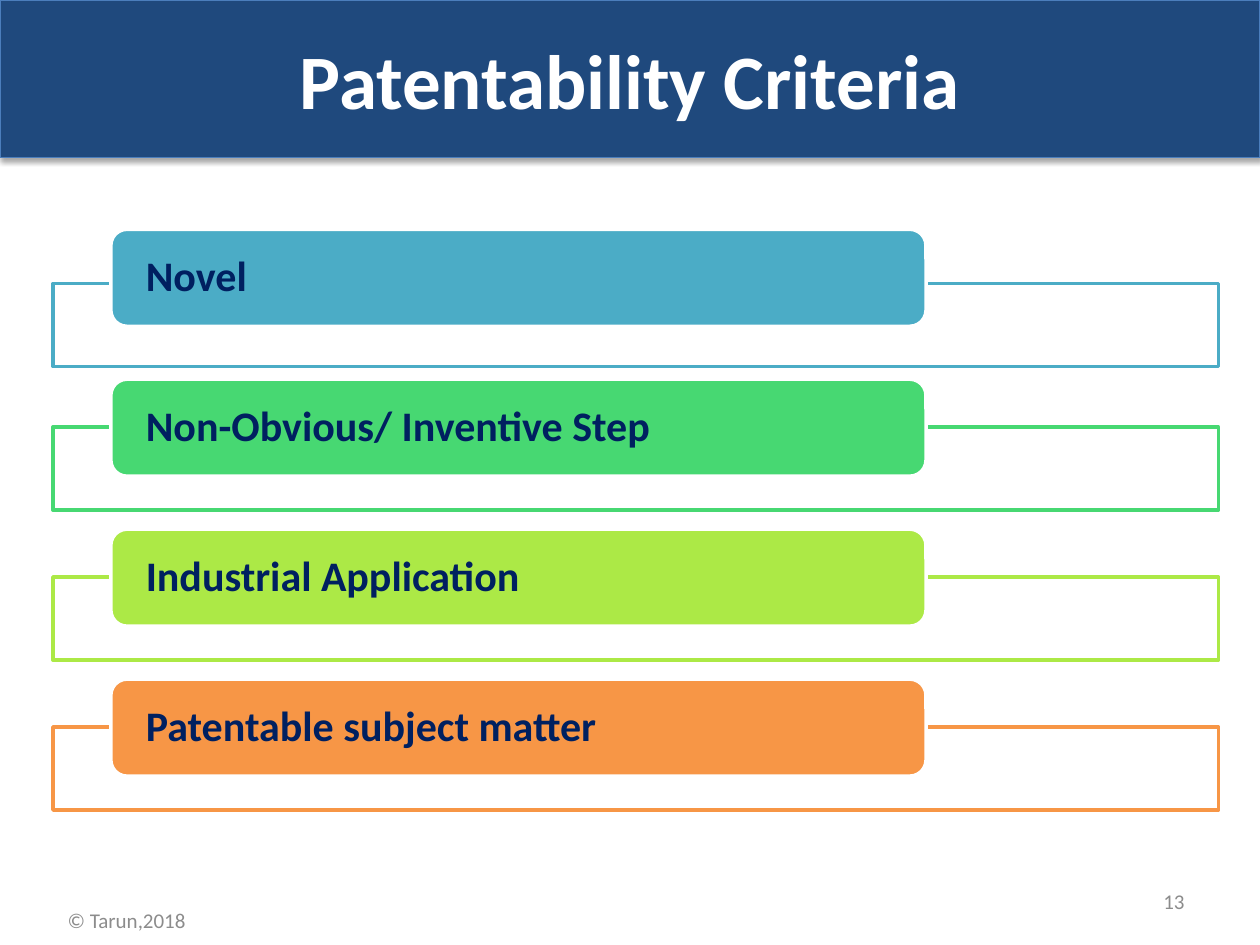
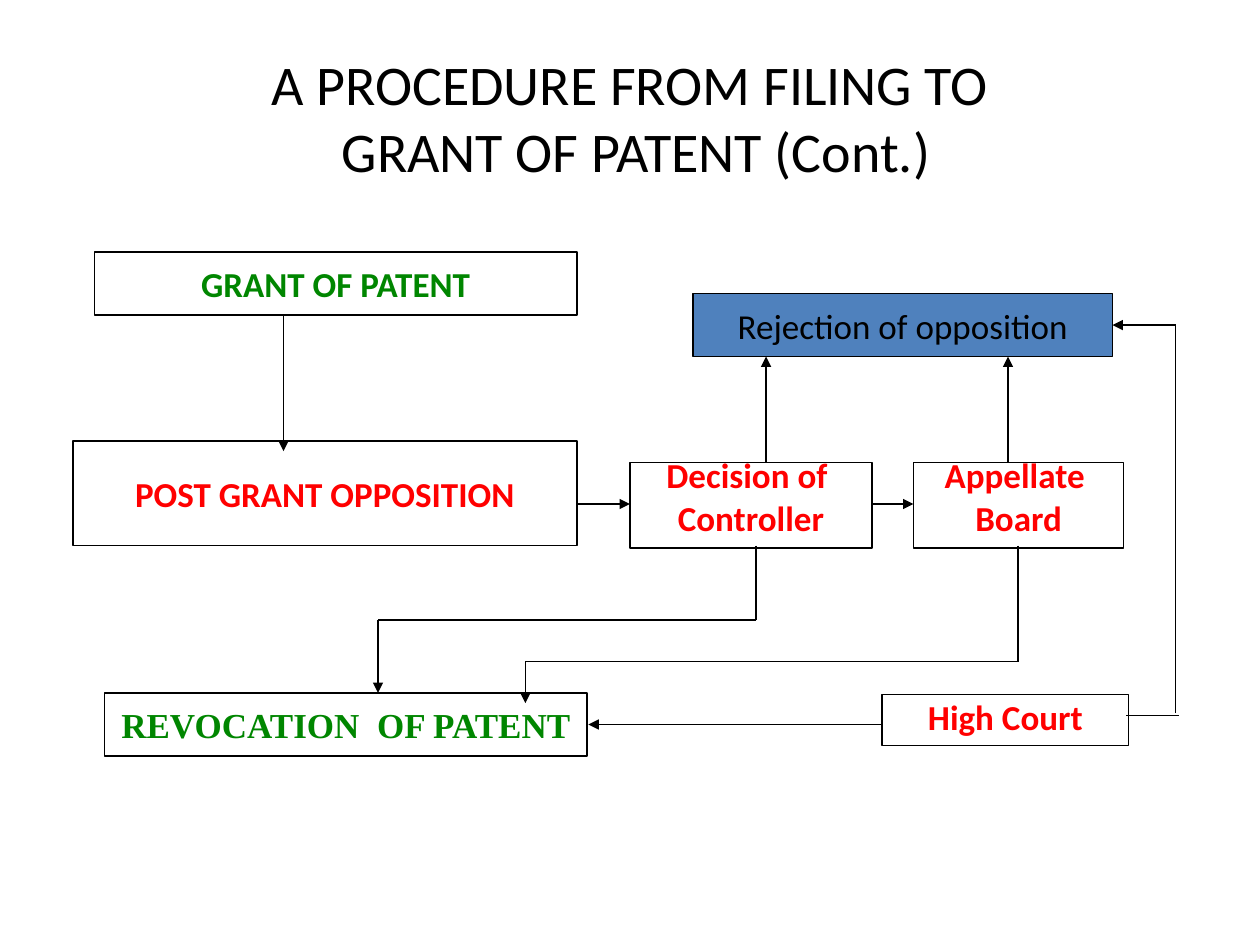
from lxml.etree import SubElement
from pptx import Presentation
from pptx.dml.color import RGBColor
from pptx.enum.shapes import MSO_CONNECTOR, MSO_SHAPE
from pptx.enum.text import MSO_ANCHOR, PP_ALIGN
from pptx.oxml.ns import qn
from pptx.util import Inches, Pt

# Shared colours and font
WHITE = RGBColor(0xFF, 0xFF, 0xFF)
BLACK = RGBColor(0x00, 0x00, 0x00)
GREY = RGBColor(0x8C, 0x8C, 0x8C)
NAVY = RGBColor(0x1F, 0x49, 0x7D)
INK = RGBColor(0x00, 0x20, 0x60)
BAND_EDGE = RGBColor(0x4B, 0x7E, 0xBC)
BLUE = RGBColor(0x4F, 0x81, 0xBD)
TEAL = RGBColor(0x4B, 0xAC, 0xC6)
MINT = RGBColor(0x47, 0xD8, 0x72)
LIME = RGBColor(0xAC, 0xE9, 0x46)
ORANGE = RGBColor(0xF7, 0x96, 0x46)
GREEN = RGBColor(0x00, 0x86, 0x00)
RED = RGBColor(0xFF, 0x00, 0x00)
FONT = "Calibri"


def write_text(frame, text, size=20, color=BLACK, bold=False, font=FONT,
               align=PP_ALIGN.CENTER, anchor=MSO_ANCHOR.MIDDLE, wrap=True,
               spacing=None, before=None, insets=None):
    """Fill a text frame; a newline starts a paragraph, \\v breaks a line."""
    frame.word_wrap = wrap
    frame.vertical_anchor = anchor
    if insets:
        side, top = insets
        frame.margin_left = frame.margin_right = Inches(side)
        frame.margin_top = frame.margin_bottom = Inches(top)
    frame.text = text
    for paragraph in frame.paragraphs:
        paragraph.alignment = align
        if spacing:
            paragraph.line_spacing = spacing
        if before:
            paragraph.space_before = Pt(before)
        for run in paragraph.runs:
            run.font.size = Pt(size)
            run.font.name = font
            run.font.bold = bold
            run.font.color.rgb = color


class Deck:
    """Holds the presentation, its style and the current slide."""

    def __init__(self):
        self.presentation = Presentation()
        self.presentation.slide_width = Inches(10)
        self.presentation.slide_height = Inches(7.5)
        self.slide = None

    def new_slide(self):
        self.slide = self.presentation.slides.add_slide(
            self.presentation.slide_layouts[6])

    def label(self, place, text, **style):
        text_box = self.slide.shapes.add_textbox(*map(Inches, place))
        write_text(text_box.text_frame, text, **style)

    def box(self, place, text="", fill=None, edge=BLACK, weight=0.75,
            kind=MSO_SHAPE.RECTANGLE, opacity=None, **style):
        shape = self.slide.shapes.add_shape(kind, *map(Inches, place))
        shape.shadow.inherit = False
        if fill is None:
            shape.fill.background()
        else:
            shape.fill.solid()
            shape.fill.fore_color.rgb = fill
        if opacity:
            color = shape.element.spPr.find(qn("a:solidFill"))[0]
            SubElement(color, qn("a:alpha"), val=str(opacity * 1000))
        shape.line.color.rgb = edge
        shape.line.width = Pt(weight)
        if text:
            write_text(shape.text_frame, text, **style)
        return shape

    def title_band(self, text):
        band = self.box((0, 0, 10, 1.25), text, fill=NAVY, edge=BAND_EDGE,
                        size=44, color=WHITE, bold=True)
        effects = band.element.spPr.find(qn("a:effectLst"))
        shadow = SubElement(effects, qn("a:outerShdw"), blurRad=str(Pt(3.1)),
                            dist=str(Pt(1.8)), dir="5400000", rotWithShape="0")
        color = SubElement(shadow, qn("a:srgbClr"), val="000000")
        SubElement(color, qn("a:alpha"), val="35000")

    def footer(self, owner, number):
        self.label((-0.58, 7.1, 3.17, 0.4), owner, size=12, color=GREY)
        self.label((7.17, 6.95, 2.33, 0.4), number, size=12, color=GREY,
                   align=PP_ALIGN.RIGHT)

    def route(self, *points, arrow=True, weight=0.75):
        """Join the points with straight lines; the last may end in an arrow."""
        for start, end in zip(points, points[1:]):
            line = self.slide.shapes.add_connector(
                MSO_CONNECTOR.STRAIGHT, *map(Inches, start + end))
            line.line.color.rgb = BLACK
            line.line.width = Pt(weight)
            SubElement(line.element.spPr, qn("a:effectLst"))
            if arrow and end == points[-1]:
                SubElement(line.line._get_or_add_ln(), qn("a:tailEnd"),
                           type="triangle")


deck = Deck()

# Slide 1: criteria list
deck.new_slide()
deck.title_band("Patentability Criteria")

FIRST_TAB, PITCH = 1.82, 1.19
criteria = [  # text, colour, drop from tab to frame
    ("Novel", TEAL, 0.43),
    ("Non-Obvious/ Inventive Step", MINT, 0.38),
    ("Industrial Application", LIME, 0.38),
    ("Patentable subject matter", ORANGE, 0.38),
]
for row, (criterion, color, drop) in enumerate(criteria):
    top = FIRST_TAB + row * PITCH
    deck.box((0.42, top + drop, 9.25, 0.66), fill=WHITE, edge=color,
             weight=2, opacity=90)
    deck.box((0.88, top, 6.47, 0.77), criterion, fill=color, edge=WHITE,
             weight=2, kind=MSO_SHAPE.ROUNDED_RECTANGLE, size=24, color=INK,
             bold=True, align=PP_ALIGN.LEFT, spacing=0.9, insets=(0.24, 0))
deck.footer("© Tarun,2018", "13")

# Slide 2: flow chart
deck.new_slide()
deck.label((0.5, 0.3, 9, 1.25),
           "A PROCEDURE FROM FILING TO\v GRANT OF PATENT (Cont.)", size=32)

# Stages
single = dict(wrap=False, bold=True)
stacked = dict(color=RED, bold=True, anchor=MSO_ANCHOR.TOP, before=10)
deck.box((0.75, 2, 3.83, 0.5), "GRANT OF PATENT", color=GREEN, **single)
deck.box((0.83, 5.5, 3.83, 0.5), "REVOCATION  OF PATENT", color=GREEN,
         font="Times New Roman", **single)
deck.box((0.58, 3.5, 4, 0.83), "POST GRANT OPPOSITION", color=RED, **single)
deck.box((5, 3.67, 1.92, 0.68), "Decision of \nController", spacing=0.6,
         **stacked)
deck.box((7.25, 3.67, 1.67, 0.68), "Appellate \nBoard", spacing=0.6, **stacked)
deck.box((7, 5.51, 1.96, 0.41), "High Court", spacing=0.9, **stacked)
deck.box((5.5, 2.33, 3.33, 0.5), "Rejection of opposition", fill=BLUE,
         wrap=False)

# Grant to opposition, then from stage to stage
deck.route((2.25, 2.5), (2.25, 3.58))
deck.route((4.58, 4), (5, 4))
deck.route((6.92, 4), (7.25, 4))

# Up to rejection
for x in (6.08, 8):
    deck.route((x, 3.67), (x, 2.83))
deck.route((8.94, 5.68), (9.36, 5.68), arrow=False)
deck.route((9.33, 5.66), (9.33, 2.58), (8.83, 2.58))

# Down to revocation
deck.route((6, 4.33), (6, 4.92), (3, 4.92), (3, 5.5))
deck.route((8.08, 4.33), (8.08, 5.25), (4.17, 5.25), (4.17, 5.58))
deck.route((7, 5.75), (4.67, 5.75), weight=1)

deck.presentation.save("out.pptx")
